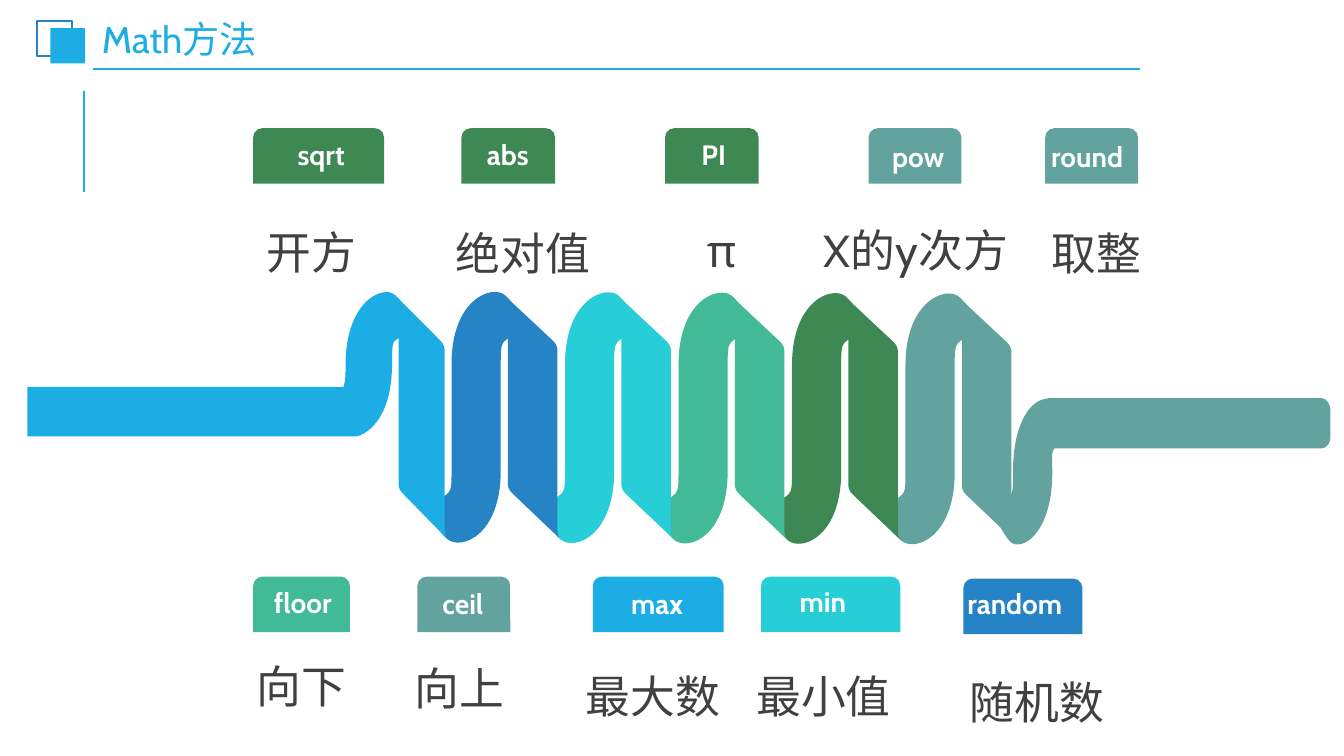
from lxml import etree
from pptx import Presentation
from pptx.dml.color import RGBColor as RGB
from pptx.enum.shapes import MSO_CONNECTOR as CONN, MSO_SHAPE as SHAPE
from pptx.enum.text import MSO_ANCHOR as ANCHOR, PP_ALIGN as ALIGN
from pptx.oxml.ns import qn
from pptx.util import Cm, Pt

COLORS = {
    "sky": "1CADE4", "blue": "2683C6", "cyan": "27CED7", "mint": "42BA97",
    "green": "3E8853", "teal": "62A39F", "white": "FFFFFF", "gray": "404040",
}
TAG_H = 1.4
CAPTION_W, CAPTION_H = 6.65, 1.9
COIL_PITCH, COIL_DROP = 2.86, 0.01
C, L = ALIGN.CENTER, ALIGN.LEFT

LOOP = [
    (12.62, 11.86), (12.62, 9.19),
    (12.62, 8.89, 12.62, 8.69, 12.7, 8.61),
    (12.93, 8.38, 13.16, 8.51, 13.21, 8.33),
    (13.28, 8.1, 12.93, 7.62, 12.73, 7.44),
    (12.4, 7.16, 11.38, 7.54, 11.38, 9.17), (11.38, 11.86),
    (11.38, 12.17, 11.38, 12.34, 11.3, 12.42),
    (11.07, 12.65, 10.85, 12.55, 10.8, 12.7),
    (10.72, 12.93, 11.07, 13.41, 11.28, 13.59),
    (11.63, 13.87, 12.62, 13.49, 12.62, 11.86),
]
BAND = [
    (14.05, 13.39), (14.05, 8.86),
    (14.05, 8.81, 14.05, 8.69, 13.94, 8.59), (12.71, 7.44),
    (12.73, 7.44, 12.8, 7.54, 12.8, 7.67), (12.8, 12.19),
    (12.8, 12.22, 12.8, 12.34, 12.93, 12.45), (14.15, 13.61),
    (14.12, 13.59, 14.05, 13.51, 14.05, 13.39),
]
LEAD = [
    (9.65, 7.37),
    (9.78, 7.34, 9.88, 7.37, 9.96, 7.44),
    (10.16, 7.62, 10.49, 8.1, 10.44, 8.33),
    (10.39, 8.51, 10.16, 8.38, 9.93, 8.61),
    (9.88, 8.69, 9.88, 8.89, 9.88, 9.19),
    (9.88, 10.41, 9.35, 10.92, 8.97, 11),
    (0.69, 11), (0.69, 9.75), (8.66, 9.75),
    (8.71, 9.58, 8.71, 9.4, 8.71, 9.19),
    (8.71, 7.98, 9.25, 7.44, 9.65, 7.37),
]
TAIL = [
    (26.44, 10.03), (33.3, 10.03),
    (33.43, 10.03, 33.53, 10.19, 33.53, 10.34), (33.53, 11),
    (33.53, 11.18, 33.43, 11.3, 33.3, 11.3), (26.57, 11.3),
    (26.49, 11.38, 26.52, 11.58, 26.52, 11.89),
    (26.52, 13.51, 25.7, 13.92, 25.45, 13.64),
    (25.27, 13.44, 25.02, 12.98, 25.07, 12.73),
    (25.1, 12.57, 25.3, 12.67, 25.48, 12.45),
    (25.53, 12.4, 25.53, 12.19, 25.53, 11.89),
    (25.53, 10.67, 25.96, 10.13, 26.31, 10.06),
    (26.36, 10.06, 26.39, 10.03, 26.44, 10.03),
]
METHODS = [
    ("sqrt", "green", (6.38, 3.23, 3.3), (6.99, 3.33, 2.21, C), "开方", (4.52, 5.13)),
    ("abs", "green", (11.63, 3.23, 2.36), (11.96, 3.33, 1.68, C), "绝对值", (9.86, 5.16)),
    ("PI", "green", (16.76, 3.23, 2.36), (17.2, 3.33, 1.57, C), "π", (14.86, 5.08)),
    ("pow", "teal", (21.89, 3.23, 2.34), (21.97, 3.38, 2.34, C), "X的y次方", (19.76, 5.08)),
    ("round", "teal", (26.34, 3.23, 2.34), (26.24, 3.38, 2.79, L), "取整", (24.31, 5.16)),
    ("floor", "mint", (6.38, 14.53, 2.44), (6.65, 14.63, 2.44, L), "向下", (4.27, 16.08)),
    ("ceil", "teal", (10.52, 14.53, 2.34), (10.9, 14.66, 2.34, L), "向上", (8.26, 16.13)),
    ("max", "sky", (14.94, 14.53, 3.3), (15.06, 14.66, 3, C), "最大数", (13.13, 16.33)),
    ("min", "cyan", (19.18, 14.53, 3.51), (19.9, 14.61, 2.7, L), "最小值", (17.43, 16.31)),
    ("random", "blue", (24.28, 14.58, 3), (24.13, 14.66, 3.66, L), "随机数", (22.81, 16.46)),
]


def write(tf, text, size, color, bold=False, align=L, spacing=None, font="Cabin"):
    p = tf.paragraphs[0]
    p.alignment = align
    if spacing:
        p.line_spacing = spacing
    r = p.add_run()
    r.text = text
    r.font.name, r.font.size, r.font.bold = font, Pt(size), bold
    r.font.color.rgb = RGB.from_string(COLORS[color])


class Deck:
    """Draws styled elements on the current slide, with lengths in centimetres."""

    def __init__(self):
        self.prs = Presentation()
        self.prs.slide_width, self.prs.slide_height = Cm(33.87), Cm(19.05)
        self.slide = self.prs.slides.add_slide(self.prs.slide_layouts[6])
        self.shapes = self.slide.shapes

    def paint(self, sp, fill=None, line=None, width=1.5):
        sp.shadow.inherit = False
        for part, color in ((sp.fill, fill), (sp.line.fill, line)):
            if color:
                part.solid()
                part.fore_color.rgb = RGB.from_string(COLORS[color])
            else:
                part.background()
        if line:
            sp.line.width = Pt(width)

    def box(self, kind, x, y, w, h, **style):
        sp = self.shapes.add_shape(kind, Cm(x), Cm(y), Cm(w), Cm(h))
        self.paint(sp, **style)

    def line(self, x1, y1, x2, y2, color, width):
        sp = self.shapes.add_connector(CONN.STRAIGHT, Cm(x1), Cm(y1), Cm(x2), Cm(y2))
        sp.line.color.rgb = RGB.from_string(COLORS[color])
        sp.line.width = Pt(width)
        etree.SubElement(sp._element.spPr, qn("a:effectLst"))

    def ribbon(self, steps, color, dx=0, dy=0, stretch=1):
        left = min(step[-2] for step in steps)
        placed = [[(Cm(left + dx + (x - left) * stretch), Cm(y + dy))
                   for x, y in zip(step[::2], step[1::2])] for step in steps]
        ends = [points[-1] for points in placed]
        builder = self.shapes.build_freeform(*ends[0])
        builder.add_line_segments(ends[1:], close=True)
        sp = builder.convert_to_shape()
        segments = list(sp._element.iter(qn("a:lnTo")))
        for segment, points in zip(segments, placed[1:]):
            if len(points) == 3:
                curve = etree.Element(qn("a:cubicBezTo"))
                for x, y in points:
                    etree.SubElement(curve, qn("a:pt"), x=str(x - sp.left), y=str(y - sp.top))
                segment.getparent().replace(segment, curve)
        self.paint(sp, fill=color)

    def text(self, text, x, y, w, h, anchor=ANCHOR.TOP, **style):
        sp = self.shapes.add_textbox(Cm(x), Cm(y), Cm(w), Cm(h))
        tf = sp.text_frame
        tf.word_wrap, tf.vertical_anchor = True, anchor
        if anchor == ANCHOR.MIDDLE:
            tf.margin_left = tf.margin_right = Cm(0.18)
            tf.margin_top = tf.margin_bottom = Cm(0.1)
        write(tf, text, **style)


def main():
    deck = Deck()
    deck.line(2.11, 4.83, 2.11, 2.29, "sky", 1.5)
    deck.line(2.34, 1.73, 28.73, 1.73, "sky", 1.25)
    deck.box(SHAPE.RECTANGLE, 0.94, 0.53, 0.87, 0.89, line="blue")
    deck.box(SHAPE.RECTANGLE, 1.27, 0.71, 0.87, 0.89, fill="sky")
    deck.text("Math方法", 2.39, 0.58, 9.98, 0.94, anchor=ANCHOR.MIDDLE,
              size=26.6, color="sky", spacing=0.9)

    deck.ribbon(TAIL, "teal")
    coils = list(enumerate(("blue", "cyan", "mint", "green", "teal")))
    for i, color in reversed(coils):
        for steps in (LOOP, BAND):
            deck.ribbon(steps, color, dx=i * COIL_PITCH, dy=i * COIL_DROP)
    deck.ribbon(LEAD, "sky")
    deck.ribbon(BAND, "sky", dx=-2.75, stretch=0.93)

    for name, color, (x, y, w), (tx, ty, tw, align), caption, (cx, cy) in METHODS:
        deck.box(SHAPE.ROUND_2_SAME_RECTANGLE, x, y, w, TAG_H, fill=color)
        deck.text(name, tx, ty, tw, 1.12, size=20, color="white", bold=True, align=align)
        deck.text(caption, cx, cy, CAPTION_W, CAPTION_H,
                  size=32, color="gray", align=C, spacing=1.3)
    deck.prs.save("out.pptx")


if __name__ == "__main__":
    main()
